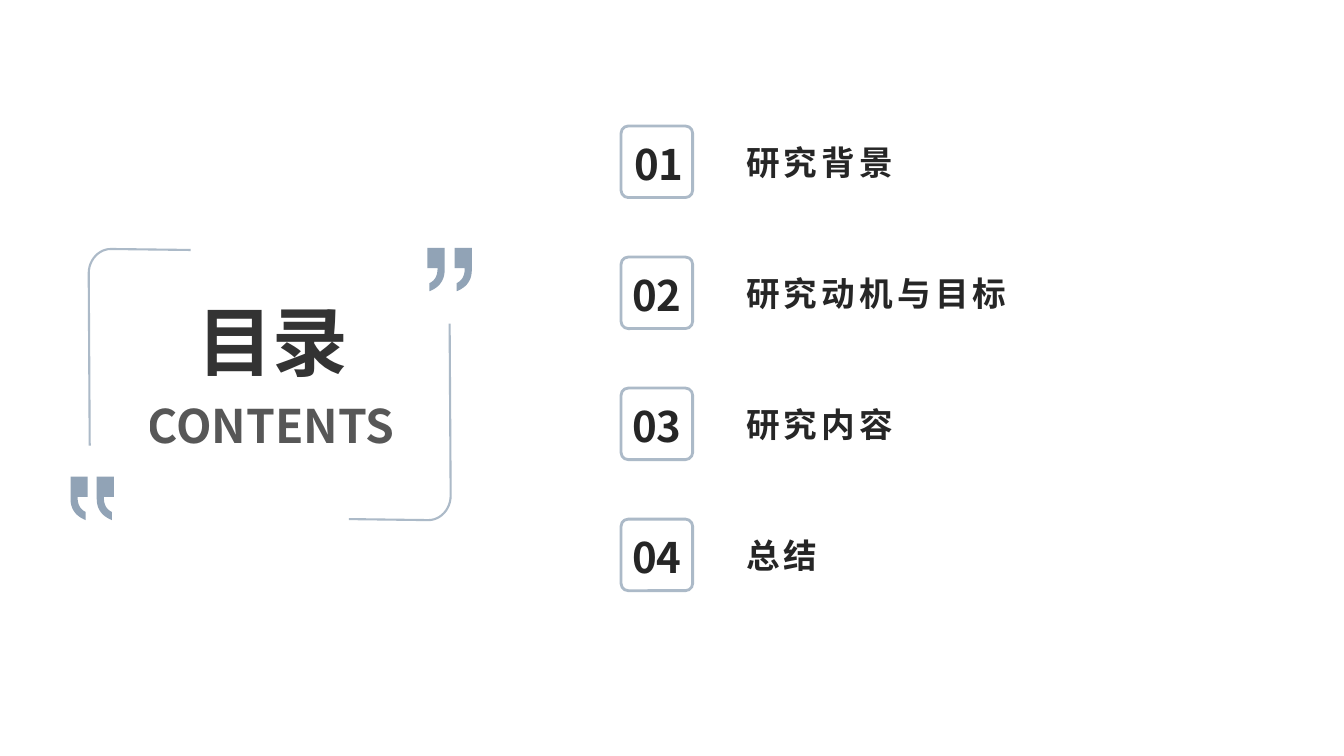
from lxml import etree
from pptx import Presentation
from pptx import util as u
from pptx.dml.color import RGBColor
from pptx.enum import shapes, text
from pptx.oxml.ns import qn

WIDTH, HEIGHT = 13.33, 7.5
SANS = "Noto Sans CJK SC"
ACCENT, INK, BLACK = "768CA4", "262626", "000000"
TOPICS = ["研究背景", "研究动机与目标", "研究内容", "总结"]
FIRST_ROW, ROW_STEP = 1.25, 1.3
NUMBER_COLUMN, TOPIC_COLUMN, NUMBER_SIZE = 6.16, 7.4, 0.71
TOPIC_WIDTH, TOPIC_HEIGHT = 4.48, 0.55
CURVE_STEPS = 12
CORNER = [(0.01, 1.95), (0, 0.24), (0, 0.11, 0.1, 0, 0.22, 0), (1.01, 0.01)]
QUOTE = [(0.02, 0.43), (0.02, 0.35), (0.08, 0.32, 0.1, 0.27, 0.1, 0.2),
         (0, 0.2), (0, 0), (0.17, 0), (0.17, 0.22),
         (0.17, 0.32, 0.12, 0.39, 0.02, 0.43)]


def paint(fill, color, alpha=100):
    """Apply a solid colour with an opacity in percent."""
    fill.solid()
    fill.fore_color.rgb = RGBColor.from_string(color)
    if alpha < 100:
        for node in fill._xPr.xpath("a:solidFill/a:srgbClr"):
            etree.SubElement(node, qn("a:alpha")).set("val", str(alpha * 1000))


def stroke(shape, width):
    """Give a shape an accent outline and no fill."""
    shape.fill.background()
    paint(shape.line.fill, ACCENT, 60)
    shape.line.width = u.Pt(width)


def flatten(steps):
    """Turn line and cubic curve steps into a list of points."""
    points = [steps[0]]
    for step in steps[1:]:
        if len(step) == 2:
            points.append(step)
            continue
        knots = [points[-1], step[:2], step[2:4], step[4:]]
        for index in range(1, CURVE_STEPS + 1):
            t = index / CURVE_STEPS
            weights = [(1 - t) ** 3, 3 * t * (1 - t) ** 2, 3 * t * t * (1 - t), t ** 3]
            points.append(tuple(sum(weight * knot[axis] for weight, knot in zip(weights, knots))
                                for axis in (0, 1)))
    return points


def add_outline(page, steps, x, y, across=1, down=1, close=False):
    """Draw an outline from an anchor, mirrored where a direction is -1."""
    points = [(u.Inches(x + across * px), u.Inches(y + down * py))
              for px, py in flatten(steps)]
    builder = page.shapes.build_freeform(*points[0])
    builder.add_line_segments(points[1:], close=close)
    shape = builder.convert_to_shape()
    shape.shadow.inherit = False
    return shape


def add_corner(page, x, y, direction):
    """Draw one open rounded corner of the frame."""
    stroke(add_outline(page, CORNER, x, y, direction, direction), 1.5)


def add_quote(page, x, y, across):
    """Draw one filled quotation mark."""
    mark = add_outline(page, QUOTE, x, y, across, close=True)
    paint(mark.fill, ACCENT, 80)
    mark.line.fill.background()


def write(shape, words, size, color=INK, alpha=100, font=SANS, spacing=0,
          align=text.PP_ALIGN.CENTER, wrap=True, inset=(0, 0)):
    """Fill a shape with one bold, vertically centred line of text."""
    frame = shape.text_frame
    frame.word_wrap = wrap
    frame.auto_size = text.MSO_AUTO_SIZE.NONE
    frame.vertical_anchor = text.MSO_ANCHOR.MIDDLE
    frame.margin_left, frame.margin_top = (u.Inches(side) for side in inset)
    frame.margin_right = frame.margin_bottom = 0
    para = frame.paragraphs[0]
    para.alignment = align
    span = para.add_run()
    span.text = words
    span.font.size, span.font.bold = u.Pt(size), True
    paint(span.font.fill, color, alpha)
    span.font.name = font
    properties = span.font._element
    etree.SubElement(properties, qn("a:ea")).set("typeface", SANS)
    if spacing:
        properties.set("spc", str(spacing * 100))


def add_text(page, x, y, width, height, words, size, **style):
    """Add a text box with one line."""
    box = page.shapes.add_textbox(*map(u.Inches, (x, y, width, height)))
    write(box, words, size, **style)


def add_topic(page, index, topic):
    """Add one numbered row of the contents list."""
    top = FIRST_ROW + index * ROW_STEP
    box = page.shapes.add_shape(
        shapes.MSO_SHAPE.ROUNDED_RECTANGLE,
        *map(u.Inches, (NUMBER_COLUMN, top, NUMBER_SIZE, NUMBER_SIZE)))
    box.shadow.inherit = False
    box.adjustments[0] = 0.1
    stroke(box, 2)
    write(box, f"{index + 1:02d}", 30, wrap=False,
          inset=(0 if index else 0.04, 0.04))
    add_text(page, TOPIC_COLUMN, top + (NUMBER_SIZE - TOPIC_HEIGHT) / 2,
             TOPIC_WIDTH, TOPIC_HEIGHT, topic, 24, spacing=3,
             align=text.PP_ALIGN.LEFT)


def add_heading(page):
    """Place the title and its subtitle inside the frame."""
    title = page.shapes.title
    title.left, title.top, title.width, title.height = map(
        u.Inches, (1.54, 2.87, 2.33, 1.01))
    write(title, "目录", 54, color=BLACK, alpha=80, font="Arial")
    add_text(page, 1.29, 3.92, 2.8, 0.6, "CONTENTS", 33,
             color=BLACK, alpha=65, wrap=False)


def main():
    """Build the contents slide."""
    deck = Presentation()
    deck.slide_width, deck.slide_height = u.Inches(WIDTH), u.Inches(HEIGHT)
    page = deck.slides.add_slide(deck.slide_layouts[5])
    add_corner(page, 0.88, 2.47, 1)
    add_corner(page, 4.47, 5.16, -1)
    for x, y, across in [(4.24, 2.46, 1), (4.51, 2.46, 1),
                         (1.13, 4.73, -1), (0.87, 4.73, -1)]:
        add_quote(page, x, y, across)
    add_heading(page)
    for index, topic in enumerate(TOPICS):
        add_topic(page, index, topic)
    deck.save("out.pptx")


if __name__ == "__main__":
    main()
